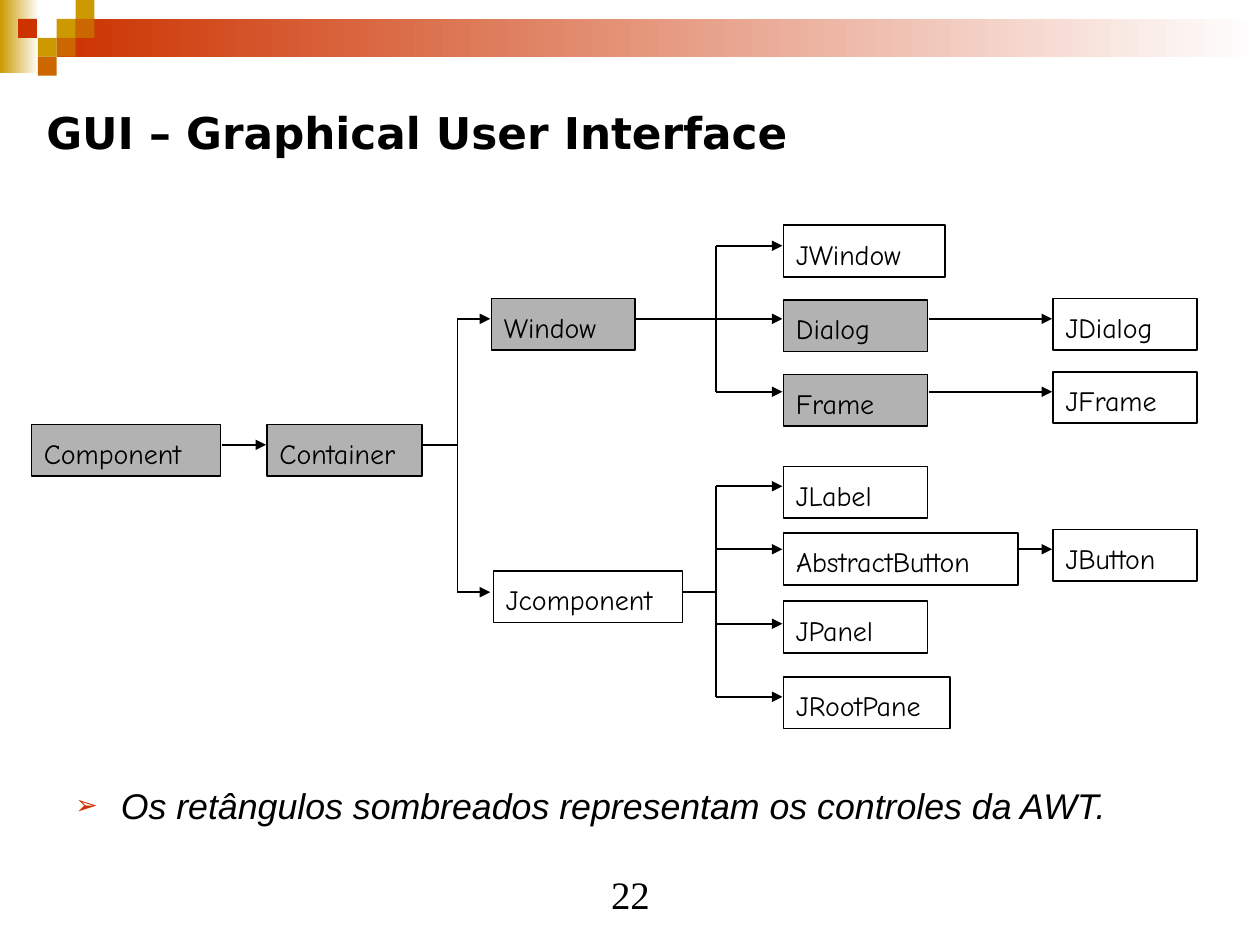
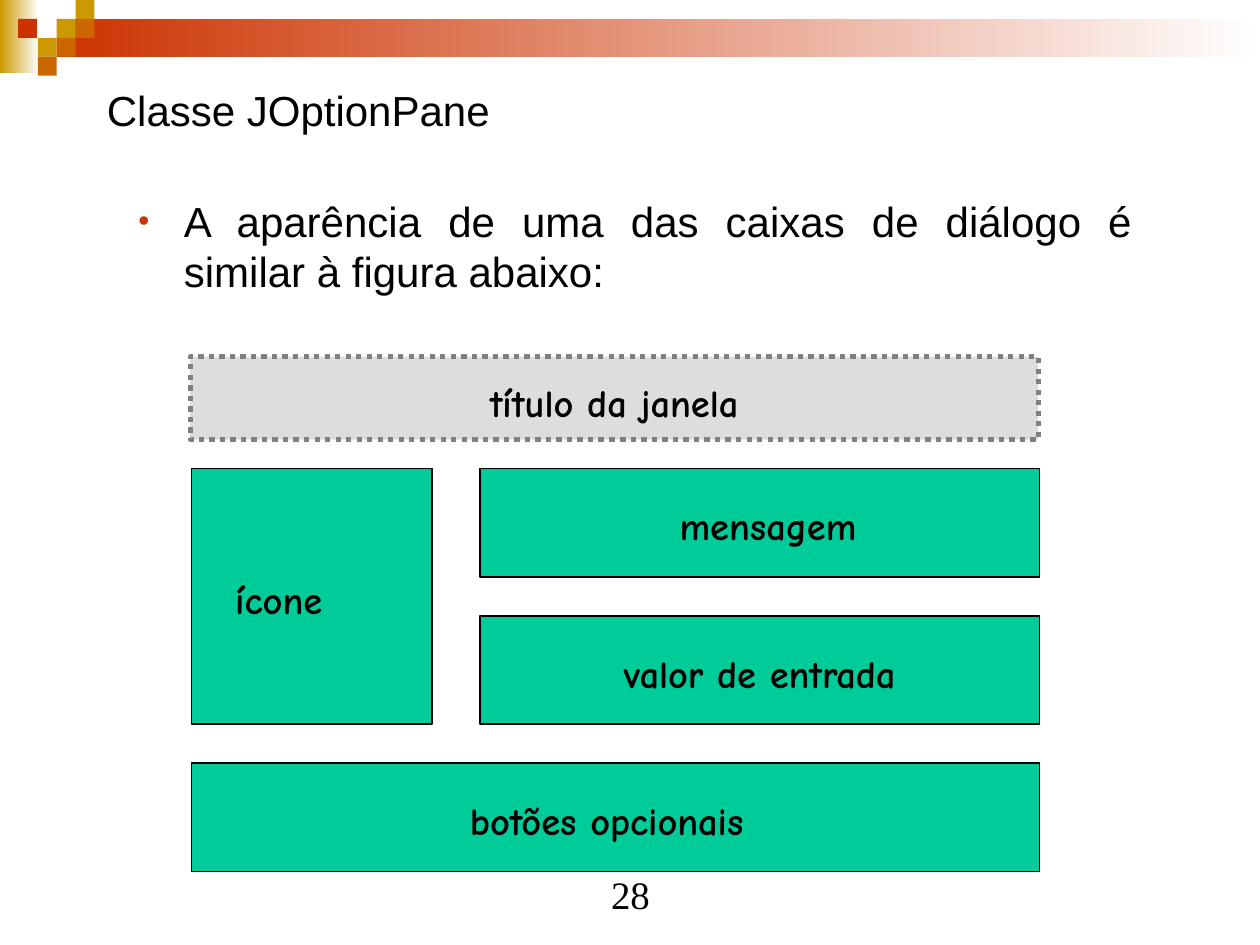
"""Builds two slides on Java GUI classes: the component hierarchy and the JOptionPane layout."""
from lxml.etree import SubElement
from pptx import Presentation
from pptx.dml.color import RGBColor
from pptx.enum.dml import MSO_LINE_DASH_STYLE as Dash
from pptx.enum.shapes import MSO_CONNECTOR as Connector, MSO_SHAPE as Shape
from pptx.enum.text import MSO_ANCHOR as Anchor, PP_ALIGN as Align
from pptx.oxml.ns import qn
from pptx.util import Pt

COLORS = {
    "ink": "000000", "paper": "FFFFFF", "gold": "CC9900", "red": "CC3300",
    "orange": "CC6600", "shade": "B2B2B2", "green": "00CC99",
    "window": "DDDDDD", "dots": "808080",
}


def color(name):
    return RGBColor.from_string(COLORS[name])


class Deck:
    """Holds the shared style and the slide being drawn."""

    body_font, diagram_font = "Arial", "Comic Neue"
    tile = 10.8
    tiles = [(32.4, 1, "gold"), (43.2, 0, "gold"), (43.2, 1, "orange"),
             (21.6, 2, "gold"), (10.3, 1, "red"), (32.4, 2, "orange"),
             (21.6, 3, "orange")]

    def __init__(self):
        self.prs = Presentation()
        self.prs.slide_width, self.prs.slide_height = Pt(720), Pt(540)
        self.slide = None

    def new_slide(self, number):
        self.slide = self.prs.slides.add_slide(self.prs.slide_layouts[6])
        self.fade((0, 0, 22.2, 41.8), "gold")
        self.fade((32.4, self.tile, 687.6, 2 * self.tile), "red")
        for left, row, fill in self.tiles:
            self.rect((left, row * self.tile, self.tile, self.tile), fill)
        self.text(number, (246.2, 491.8, 228.2, 36), 22.2, "Times New Roman",
                  align=Align.CENTER, anchor=Anchor.BOTTOM, spacing=0.9)

    def rect(self, box, fill=None, line=None, width=1, dash=None):
        shape = self.slide.shapes.add_shape(Shape.RECTANGLE, *map(Pt, box))
        shape.shadow.inherit = False
        if fill:
            shape.fill.solid()
            shape.fill.fore_color.rgb = color(fill)
        else:
            shape.fill.background()
        if line:
            shape.line.color.rgb = color(line)
            shape.line.width = Pt(width)
            if dash:
                shape.line.dash_style = dash
        else:
            shape.line.fill.background()
        return shape

    def fade(self, box, start):
        fill = self.rect(box).fill
        fill.gradient()
        fill.gradient_angle = 0
        for stop, name in zip(fill.gradient_stops, (start, "paper")):
            stop.color.rgb = color(name)

    def label(self, shape, text, size, font, bold=False, italic=False,
              align=Align.LEFT, anchor=Anchor.TOP, spacing=None, before=0):
        frame = shape.text_frame
        frame.text = text
        frame.word_wrap = True
        frame.vertical_anchor = anchor
        paragraph = frame.paragraphs[0]
        paragraph.alignment = align
        paragraph.space_before = Pt(before)
        if spacing:
            paragraph.line_spacing = spacing
        style = paragraph.runs[0].font
        style.size, style.name = Pt(size), font
        style.bold, style.italic = bold, italic
        style.color.rgb = color("ink")
        return paragraph

    def text(self, text, box, size, font, **style):
        holder = self.slide.shapes.add_textbox(*map(Pt, box))
        return self.label(holder, text, size, font, **style)

    def bullet(self, text, box, mark, size, before, **style):
        paragraph = self.text(text, box, size, self.body_font, before=before, **style)
        props = paragraph._p.get_or_add_pPr()
        props.set("marL", str(Pt(26)))
        props.set("indent", str(-Pt(26)))
        tint = SubElement(props, qn("a:buClr"))
        SubElement(tint, qn("a:srgbClr"), val=COLORS["red"])
        SubElement(props, qn("a:buSzPct"), val="75000")
        SubElement(props, qn("a:buFont"), typeface=self.body_font)
        SubElement(props, qn("a:buChar"), char=mark)

    def node(self, name, left, top, width, shaded=False):
        box = self.rect((left, top, width, 29.5), "shade" if shaded else None, "ink")
        self.label(box, name, 16, self.diagram_font, spacing=1.17, before=10)

    def caption(self, text, box, align=Align.CENTER):
        self.text(text, box, 22, self.diagram_font, bold=True, align=align,
                  spacing=1.17, before=13.8)

    def line(self, x1, y1, x2, y2, arrow=False):
        link = self.slide.shapes.add_connector(
            Connector.STRAIGHT, Pt(x1), Pt(y1), Pt(x2), Pt(y2))
        link.line.color.rgb = color("ink")
        link.line.width = Pt(1)
        if arrow:
            SubElement(link.line._ln, qn("a:tailEnd"), type="triangle")
        SubElement(link._element.spPr, qn("a:effectLst"))

    def branch(self, start, y, trunk, tip, targets):
        self.line(trunk, targets[0], trunk, targets[-1])
        if y not in targets:
            self.line(start, y, trunk, y)
        for target in targets:
            self.line(start if target == y else trunk, target, tip, target, arrow=True)


def hierarchy_slide(deck):
    deck.new_slide("22")
    deck.bullet("Os retângulos sombreados representam os controles da AWT.",
                (36, 444.2, 648, 36), "➢", 20.4, 6, italic=True)
    leaf = 82.2
    root_top, window_top, third, fourth = 242.6, 170.6, 447.8, 601.9
    classes = [
        ("JWindow", third, 128.7, 92.2),
        ("Dialog", third, 171.4, leaf, True),
        ("Frame", third, 214, leaf, True),
        ("JLabel", third, 266.6, leaf),
        ("AbstractButton", third, 304.6, 134),
        ("JPanel", third, 343.6, leaf),
        ("JRootPane", third, 386.8, 95),
        ("JDialog", fourth, window_top, leaf),
        ("JFrame", fourth, 212.4, leaf),
        ("JButton", fourth, 302.6, leaf),
        ("Window", 280.9, window_top, leaf, True),
        ("Jcomponent", 282, 326.2, 108),
        ("Container", 152.6, root_top, 88.7, True),
        ("Component", 18, root_top, 108, True),
    ]
    for entry in classes:
        deck.node(*entry)

    root_y, window_y, frame_y, component_y, button_y = 254.2, 182.2, 223.9, 338.4, 313.9
    deck.line(126.7, root_y, 152, root_y, arrow=True)
    deck.branch(241.9, root_y, 261.4, 280.1, [window_y, component_y])
    deck.branch(363.6, window_y, 409, 447.1, [140.4, window_y, frame_y])
    deck.branch(390.2, component_y, 409, 447.1, [277.9, button_y, 356.4, 398.2])
    for start, y in [(530.6, window_y), (530.6, frame_y), (581.8, button_y)]:
        deck.line(start, y, 601.2, y, arrow=True)
    deck.text("GUI – Graphical User Interface", (19.4, 56.9, 569.5, 37.4), 25,
              "DejaVu Sans", bold=True, before=25)


def option_pane_slide(deck):
    deck.new_slide("28")
    deck.text("Classe JOptionPane", (54, 33.8, 612, 57.6), 24, deck.body_font,
              anchor=Anchor.MIDDLE)
    deck.bullet("A aparência de uma das caixas de diálogo é similar à figura abaixo:",
                (72, 108, 581.8, 84.2), "•", 24, 7, align=Align.JUSTIFY)
    left, right, message_top, row_step, height = 109.4, 274.3, 267.8, 84.2, 61.9
    input_top, buttons_top = (message_top + row_step * n for n in (1, 2))
    inset, caption_height = 11.3, 38.2
    areas = [
        ("mensagem", (right, message_top, 319.7, height), 283.7, 310.3),
        ("valor de entrada", (right, input_top, 319.7, height), 292.3, 283.7),
        ("botões opcionais", (left, buttons_top, 484.6, height), 108, 477.4),
    ]
    for label, area, label_left, label_width in areas:
        deck.rect(area, "green", "ink")
        deck.caption(label, (label_left, area[1] + inset, label_width, caption_height))
    deck.rect((left, message_top, 137.5, row_step + height), "green", "ink")
    deck.caption("ícone", (127.4, 321.1, 100.8, caption_height), Align.LEFT)
    window_title = deck.rect((108.7, 203.8, 484.6, 47.5), "window", "dots", 3,
                             Dash.ROUND_DOT)
    deck.label(window_title, "título da janela", 22, deck.diagram_font, bold=True,
               align=Align.CENTER, anchor=Anchor.MIDDLE, spacing=1.17, before=13.8)


def main():
    deck = Deck()
    hierarchy_slide(deck)
    option_pane_slide(deck)
    deck.prs.save("out.pptx")


if __name__ == "__main__":
    main()
